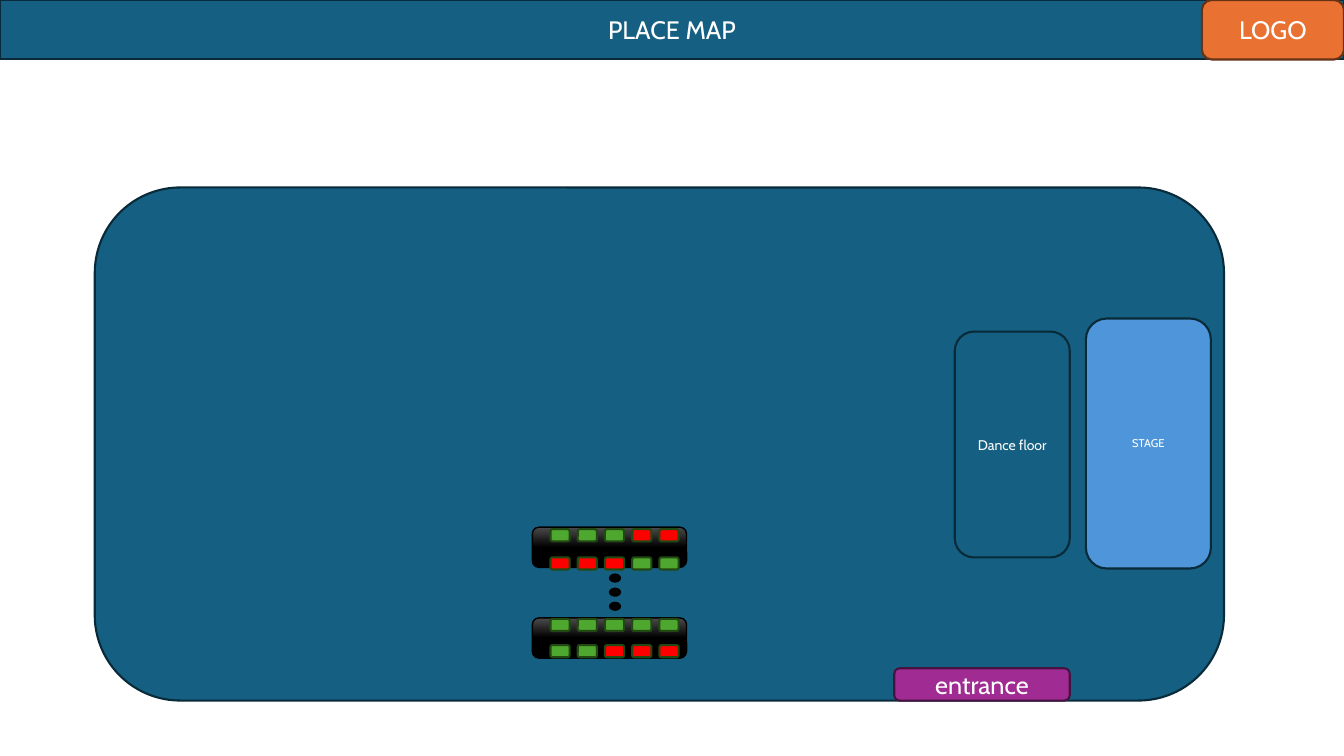
from dataclasses import dataclass

from pptx import Presentation
from pptx.dml.color import RGBColor
from pptx.enum import shapes, text
from pptx.util import Inches, Pt

COLORS = {
    "teal": "156082", "navy": "092A39", "orange": "E97132", "brown": "663216",
    "purple": "A02B93", "plum": "461340", "blue": "4E95D9", "white": "FFFFFF",
    "black": "000000", "gray": "4B4B4B", "free": "4EA72E", "taken": "FF0000",
    "seat_edge": "224914",
}
RECT = shapes.MSO_SHAPE.RECTANGLE
ROUND = shapes.MSO_SHAPE.ROUNDED_RECTANGLE
OVAL = shapes.MSO_SHAPE.OVAL

SEAT_LEFT, SEAT_PITCH = 5.46, 0.27
SEAT_FILLS = {"F": "free", "T": "taken"}


@dataclass
class Area:
    left: float
    top: float
    width: float
    height: float
    fill: str
    line: str
    label: str = ""
    size: int = 18
    kind: shapes.MSO_SHAPE = ROUND
    weight: float = 1.5


@dataclass
class SeatRow:
    top: float
    seats: str  # F = free, T = taken


AREAS = [
    Area(0, 0, 13.33, 0.59, "teal", "navy", "PLACE MAP", kind=RECT),
    Area(11.92, 0, 1.41, 0.59, "orange", "brown", "LOGO"),
    Area(0.94, 1.86, 11.2, 5.09, "teal", "navy"),
    Area(8.87, 6.63, 1.74, 0.32, "purple", "plum", "entrance"),
    Area(9.47, 3.29, 1.14, 2.24, "teal", "navy", "Dance floor", 10),
    Area(10.77, 3.16, 1.24, 2.48, "blue", "navy", "STAGE", 8),
]
TABLE_TOPS = [5.23, 6.13]
SEAT_ROWS = [
    SeatRow(5.25, "FFFTT"), SeatRow(5.53, "TTTFF"),
    SeatRow(6.14, "FFFFF"), SeatRow(6.4, "FFTTT"),
]


def rgb(name: str) -> RGBColor:
    return RGBColor.from_string(COLORS[name])


def write(sp, label: str, *, size: int, color: str = "white", font: str = "Cabin") -> None:
    tf = sp.text_frame
    tf.word_wrap = True
    tf.vertical_anchor = text.MSO_ANCHOR.MIDDLE
    p = tf.paragraphs[0]
    p.alignment = text.PP_ALIGN.CENTER
    r = p.add_run()
    r.text = label
    r.font.name, r.font.size = font, Pt(size)
    r.font.color.rgb = rgb(color)


def draw_area(s, area: Area):
    box = (Inches(v) for v in (area.left, area.top, area.width, area.height))
    sp = s.shapes.add_shape(area.kind, *box)
    sp.shadow.inherit = False
    sp.fill.solid()
    sp.fill.fore_color.rgb = rgb(area.fill)
    sp.line.color.rgb = rgb(area.line)
    sp.line.width = Pt(area.weight)
    if area.label:
        write(sp, area.label, size=area.size)
    return sp


def draw_table(s, top: float) -> None:
    sp = draw_area(s, Area(5.28, top, 1.53, 0.4, "black", "black", weight=1))
    sp.fill.gradient()
    sp.fill.gradient_angle = 270
    for stop, (position, color) in zip(sp.fill.gradient_stops, [(0, "gray"), (0.5, "black")]):
        stop.position = position
        stop.color.rgb = rgb(color)


def draw_seats(s, row: SeatRow) -> None:
    for i, state in enumerate(row.seats):
        draw_area(s, Area(SEAT_LEFT + i * SEAT_PITCH, row.top, 0.19, 0.12,
                          SEAT_FILLS[state], "seat_edge"))


def main() -> None:
    prs = Presentation()
    prs.slide_width, prs.slide_height = Inches(13.33), Inches(7.5)
    s = prs.slides.add_slide(prs.slide_layouts[6])

    # Header, hall and its fixed areas
    for area in AREAS:
        draw_area(s, area)

    # Tables with seats
    for top in TABLE_TOPS:
        draw_table(s, top)
    for row in SEAT_ROWS:
        draw_seats(s, row)

    # Dots for the tables in between
    for i in range(3):
        draw_area(s, Area(6.05, 5.7 + i * 0.14, 0.1, 0.07, "black", "black", kind=OVAL))

    prs.save("out.pptx")


if __name__ == "__main__":
    main()
